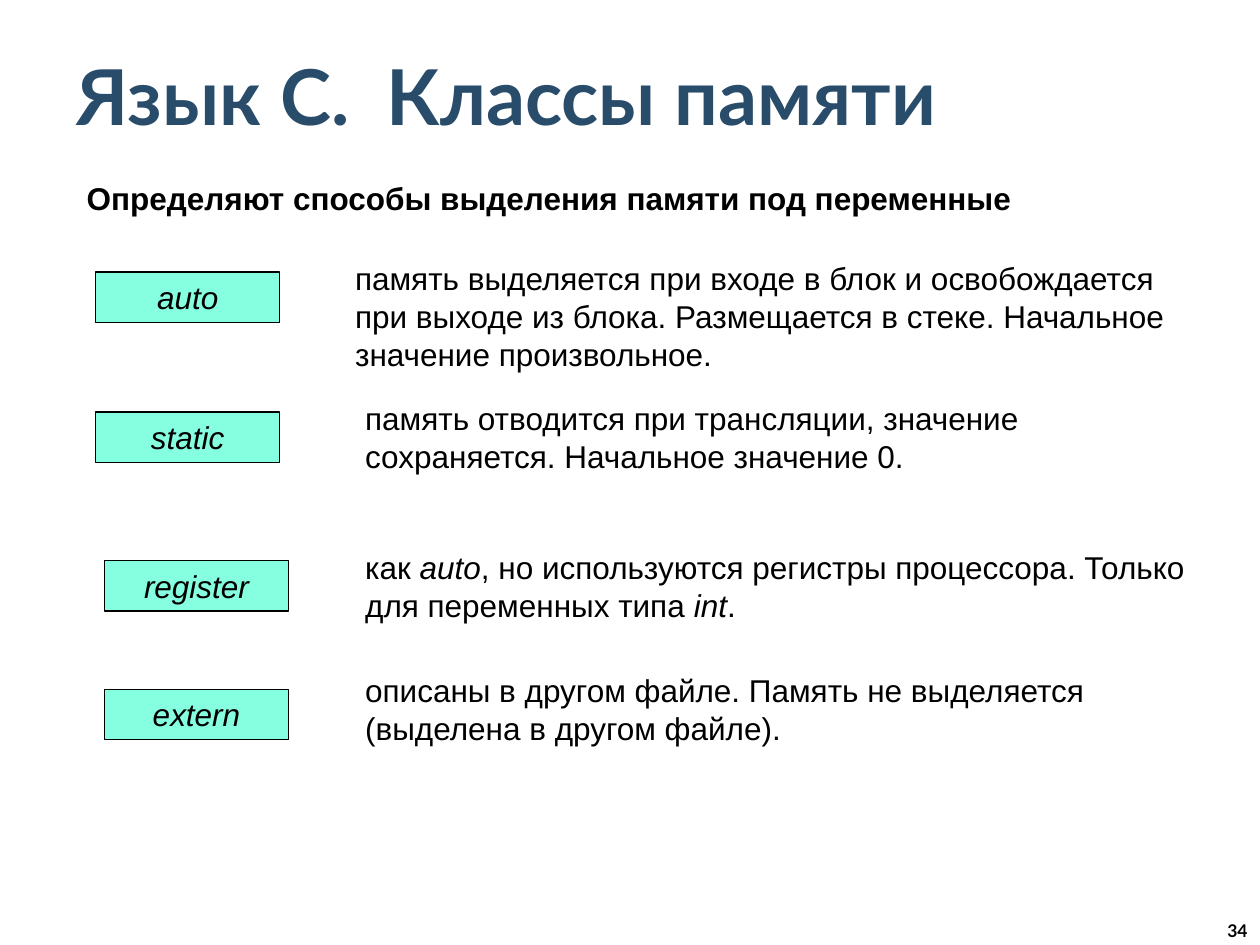
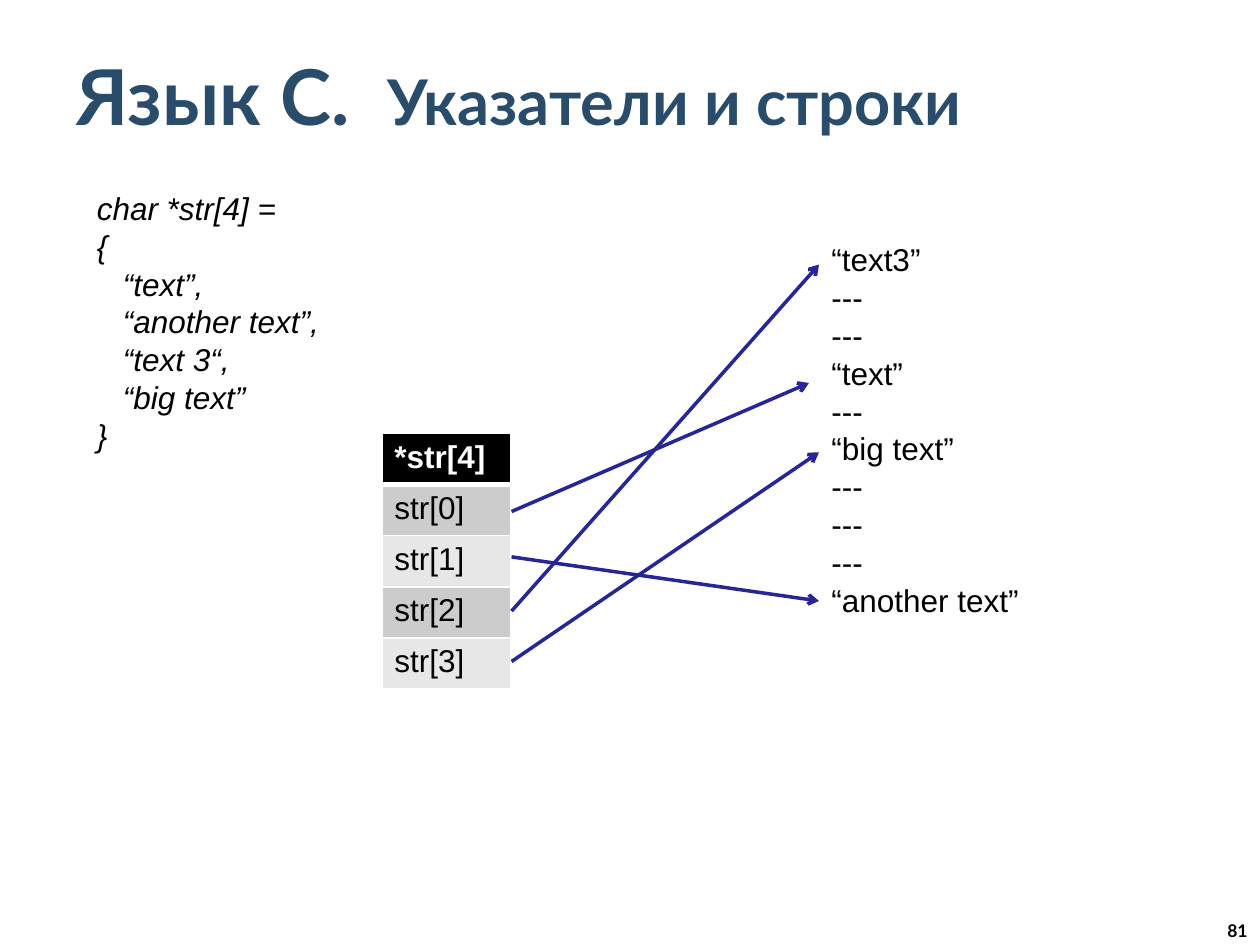
"""Build two slides on the C language: storage classes, and pointers to strings."""
from lxml.etree import SubElement
from pptx import Presentation
from pptx.dml.color import RGBColor
from pptx.enum.shapes import MSO_CONNECTOR, MSO_SHAPE
from pptx.enum.text import MSO_ANCHOR, PP_ALIGN
from pptx.oxml import parse_xml
from pptx.oxml.ns import nsdecls, qn
from pptx.util import Inches, Pt

BLACK = RGBColor(0x00, 0x00, 0x00)
WHITE = RGBColor(0xFF, 0xFF, 0xFF)
TITLE_BLUE = RGBColor(0x28, 0x4C, 0x6A)
LABEL_MINT = RGBColor(0x85, 0xFF, 0xE0)
ARROW_BLUE = RGBColor(0x26, 0x26, 0x99)
ROW_FILLS = (RGBColor(0xCC, 0xCC, 0xCC), RGBColor(0xE7, 0xE7, 0xE7))

BODY = {"name": "Arial", "size": Pt(18), "bold": False, "italic": False, "color": BLACK}
BOLD = {**BODY, "bold": True}
ITALIC = {**BODY, "italic": True}
HEADER = {**BOLD, "color": WHITE}
TITLE = {**BOLD, "name": "Lato", "size": Pt(44), "color": TITLE_BLUE}
SUBTITLE = {**TITLE, "size": Pt(36)}
NUMBER = {**BOLD, "name": "Lato", "size": Pt(10)}
BODY_SPACING = Pt(21.6)

SLIDE_WIDTH, SLIDE_HEIGHT = 10, 7.5
TITLE_BOX = (0.51, 0.44, 8.75, 0.62)
NUMBER_WIDTH, NUMBER_HEIGHT = 2.08, 0.25
LABEL_WIDTH, LABEL_HEIGHT = 1.46, 0.4

CLASSES_TITLE = [("Язык С.  Классы памяти", TITLE)]
CLASSES_SUMMARY = "Определяют способы выделения памяти под переменные"
STORAGE_CLASSES = [
    ("auto", (0.76, 2.16), (2.72, 2.01, 6.77, 1.01),
     [("память выделяется при входе в блок и освобождается при выходе из блока. "
       "Размещается в стеке. Начальное значение произвольное.", BODY)]),
    ("static", (0.76, 3.27), (2.8, 3.12, 6.84, 0.71),
     [("память отводится при трансляции, значение сохраняется. Начальное значение 0.", BODY)]),
    ("register", (0.83, 4.45), (2.8, 4.3, 6.84, 0.71),
     [("как ", BODY), ("auto", ITALIC),
      (", но используются регистры процессора. Только для переменных типа ", BODY),
      ("int", ITALIC), (".", BODY)]),
    ("extern", (0.83, 5.47), (2.8, 5.28, 6.84, 0.71),
     [("описаны в другом файле. Память не выделяется (выделена в другом файле).", BODY)]),
]

POINTERS_TITLE = [("Язык С.  ", TITLE), ("Указатели и строки", SUBTITLE)]
CODE_LINES = ["char *str[4] =", "{", "   “text”,", "   “another text”,",
              "   “text 3“,", "   “big text”", "}"]
POINTER_ROWS = ["*str[4]", "str[0]", "str[1]", "str[2]", "str[3]"]
TABLE_BOX = (3.03, 3.44, 1.02, 2.03)
MEMORY_LINES = ["“text3”", "---", "---", "“text”", "---", "“big text”",
                "---", "---", "---", "“another text”"]
ARROW_START = 4.06
ARROWS = [(4.85, 6.5, 2.1), (5.25, 6.5, 3.59), (4.06, 6.42, 3.04), (4.42, 6.5, 4.77)]


def inches(*lengths):
    return [Inches(length) for length in lengths]


def write(frame, paragraphs, alignment=PP_ALIGN.LEFT, spacing=None):
    for index, runs in enumerate(paragraphs):
        paragraph = frame.add_paragraph() if index else frame.paragraphs[0]
        paragraph.alignment = alignment
        if spacing:
            paragraph.line_spacing = spacing
        for text, style in runs:
            run = paragraph.add_run()
            run.text = text
            for attribute, value in style.items():
                if attribute == "color":
                    run.font.color.rgb = value
                else:
                    setattr(run.font, attribute, value)


def add_text(slide, box, paragraphs, anchor=MSO_ANCHOR.TOP, **layout):
    frame = slide.shapes.add_textbox(*inches(*box)).text_frame
    frame.word_wrap = True
    frame.vertical_anchor = anchor
    write(frame, paragraphs, **layout)


def add_body(slide, box, paragraphs):
    add_text(slide, box, paragraphs, spacing=BODY_SPACING)


def add_slide(presentation, title, number):
    slide = presentation.slides.add_slide(presentation.slide_layouts[6])
    add_text(slide, TITLE_BOX, [title], MSO_ANCHOR.MIDDLE)
    number_box = (SLIDE_WIDTH - NUMBER_WIDTH, SLIDE_HEIGHT - NUMBER_HEIGHT,
                  NUMBER_WIDTH, NUMBER_HEIGHT)
    add_text(slide, number_box, [[(number, NUMBER)]], alignment=PP_ALIGN.RIGHT)
    return slide


def add_label(slide, corner, text):
    shape = slide.shapes.add_shape(
        MSO_SHAPE.RECTANGLE, *inches(*corner, LABEL_WIDTH, LABEL_HEIGHT))
    shape.shadow.inherit = False
    shape.fill.solid()
    shape.fill.fore_color.rgb = LABEL_MINT
    shape.line.color.rgb = BLACK
    shape.line.width = Pt(0.75)
    shape.text_frame.vertical_anchor = MSO_ANCHOR.MIDDLE
    write(shape.text_frame, [[(text, ITALIC)]], PP_ALIGN.CENTER, BODY_SPACING)


def set_borders(cell, widths):
    properties = cell._tc.get_or_add_tcPr()
    for index, (side, width) in enumerate(zip("LRTB", widths)):
        properties.insert(index, parse_xml(
            f'<a:ln{side} {nsdecls("a")} w="{Pt(width)}"><a:solidFill>'
            f'<a:srgbClr val="{WHITE}"/></a:solidFill></a:ln{side}>'))


def add_pointer_table(slide):
    table = slide.shapes.add_table(len(POINTER_ROWS), 1, *inches(*TABLE_BOX)).table
    for index, text in enumerate(POINTER_ROWS):
        cell = table.cell(index, 0)
        cell.fill.solid()
        cell.fill.fore_color.rgb = ROW_FILLS[(index - 1) % 2] if index else BLACK
        set_borders(cell, (1, 1, 3 if index == 1 else 1, 1 if index else 3))
        write(cell.text_frame, [[(text, BODY if index else HEADER)]])


def add_arrow(slide, start_y, end_x, end_y):
    connector = slide.shapes.add_connector(
        MSO_CONNECTOR.STRAIGHT, *inches(ARROW_START, start_y, end_x, end_y))
    connector.line.color.rgb = ARROW_BLUE
    connector.line.width = Pt(2)
    SubElement(connector.line._get_or_add_ln(), qn("a:tailEnd"), type="arrow")
    SubElement(connector._element.spPr, qn("a:effectLst"))


def build_classes_slide(presentation):
    slide = add_slide(presentation, CLASSES_TITLE, "34")
    add_body(slide, (0.59, 1.37, 7.83, 0.4), [[(CLASSES_SUMMARY, BOLD)]])
    for name, corner, box, description in STORAGE_CLASSES:
        add_label(slide, corner, name)
        add_body(slide, box, [description])


def build_pointers_slide(presentation):
    slide = add_slide(presentation, POINTERS_TITLE, "81")
    add_body(slide, (0.67, 1.45, 3.03, 2.22), [[(line, ITALIC)] for line in CODE_LINES])
    add_pointer_table(slide)
    add_body(slide, (6.5, 1.86, 1.97, 3.13), [[(line, BODY)] for line in MEMORY_LINES])
    for arrow in ARROWS:
        add_arrow(slide, *arrow)


def main():
    presentation = Presentation()
    presentation.slide_width, presentation.slide_height = inches(SLIDE_WIDTH, SLIDE_HEIGHT)
    build_classes_slide(presentation)
    build_pointers_slide(presentation)
    presentation.save("out.pptx")


if __name__ == "__main__":
    main()
